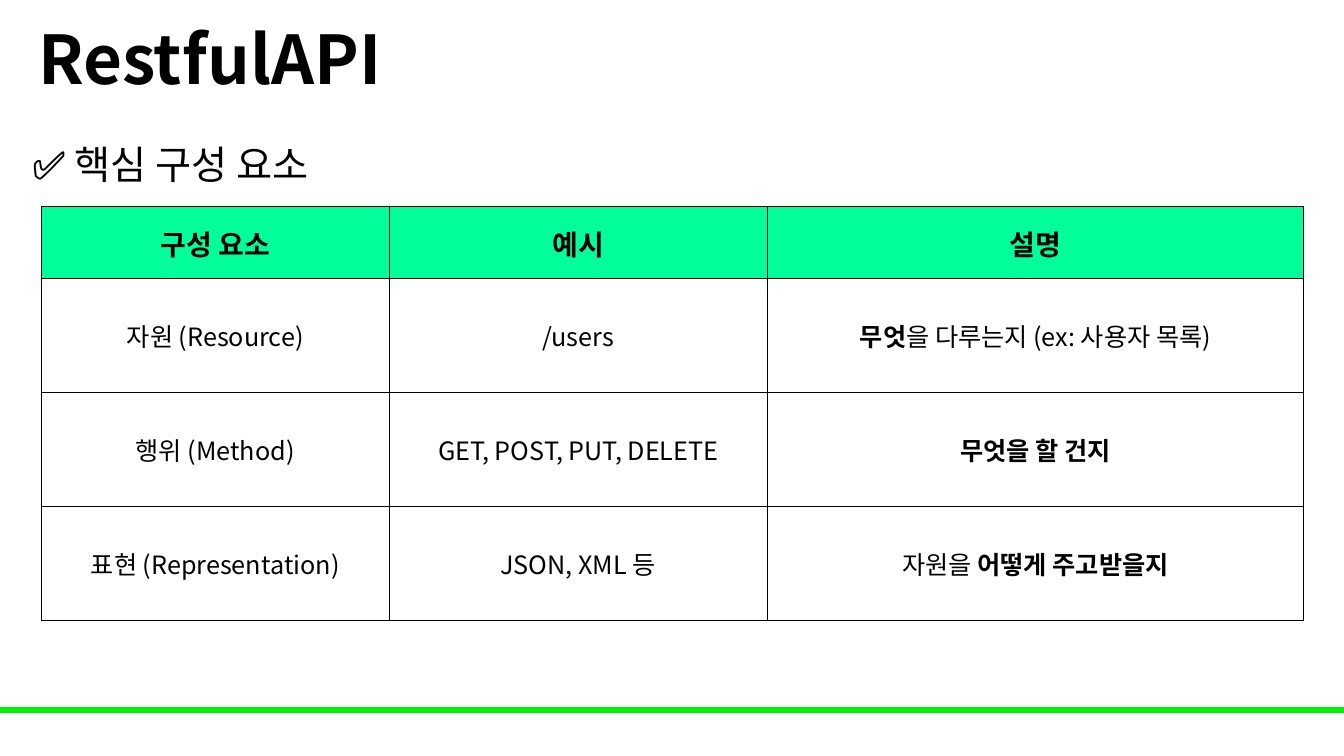
from lxml.etree import SubElement
from pptx import Presentation
from pptx.dml.color import RGBColor
from pptx.enum.shapes import MSO_SHAPE
from pptx.enum.text import MSO_ANCHOR, PP_ALIGN
from pptx.oxml.ns import qn
from pptx.util import Inches, Pt

BLACK = RGBColor(0x00, 0x00, 0x00)
HEADER_GREEN = RGBColor(0x00, 0xFF, 0x99)
BAR_GREEN = RGBColor(0x00, 0xF2, 0x09)
FONT = "Noto Sans CJK KR"

COLUMN_WIDTHS = [3.45, 3.75, 5.32]
ROW_HEIGHTS = [0.71, 1.13, 1.13, 1.13]
COMPONENTS = [
    [[("구성 요소", True)], [("예시", True)], [("설명", True)]],
    [[("자원 (Resource)", False)], [("/users", False)],
     [("무엇", True), ("을 다루는지 (ex: 사용자 목록)", False)]],
    [[("행위 (Method)", False)], [("GET, POST, PUT, DELETE", False)],
     [("무엇을 할 건지", True)]],
    [[("표현 (Representation)", False)], [("JSON, XML 등", False)],
     [("자원을 ", False), ("어떻게 주고받을지", True)]],
]


def style_run(run, size, bold):
    run.font.size = Pt(size)
    run.font.bold = bold
    run.font.color.rgb = BLACK
    run.font.name = FONT
    SubElement(run.font._element, qn("a:ea"), typeface=FONT)


def add_heading(slide, left, top, width, height, wording, size, bold, spacing, anchor):
    frame = slide.shapes.add_textbox(
        Inches(left), Inches(top), Inches(width), Inches(height)).text_frame
    frame.word_wrap = True
    frame.vertical_anchor = anchor
    frame.text = wording
    heading = frame.paragraphs[0]
    heading.line_spacing = spacing
    style_run(heading.runs[0], size, bold)


def add_borders(cell):
    properties = cell._tc.get_or_add_tcPr()
    for side in ("lnL", "lnR", "lnT", "lnB"):
        border = SubElement(properties, qn(f"a:{side}"), w=str(Pt(0.5)))
        color = SubElement(border, qn("a:solidFill"))
        SubElement(color, qn("a:srgbClr"), val=str(BLACK))


def fill_cell(cell, pieces, is_header):
    cell.margin_left = cell.margin_right = cell.margin_top = Inches(0.01)
    cell.margin_bottom = 0
    cell.vertical_anchor = MSO_ANCHOR.MIDDLE
    add_borders(cell)
    if is_header:
        cell.fill.solid()
        cell.fill.fore_color.rgb = HEADER_GREEN
    else:
        cell.fill.background()
    sentence = cell.text_frame.paragraphs[0]
    sentence.alignment = PP_ALIGN.CENTER
    for wording, bold in pieces:
        run = sentence.add_run()
        run.text = wording
        style_run(run, 20 if is_header else 18, bold)


def add_component_table(slide, left, top):
    table = slide.shapes.add_table(
        len(ROW_HEIGHTS), len(COLUMN_WIDTHS), Inches(left), Inches(top),
        Inches(sum(COLUMN_WIDTHS)), Inches(sum(ROW_HEIGHTS))).table
    table.horz_banding = False
    for column, width in zip(table.columns, COLUMN_WIDTHS):
        column.width = Inches(width)
    for index, (row, height) in enumerate(zip(table.rows, ROW_HEIGHTS)):
        row.height = Inches(height)
        for cell, pieces in zip(row.cells, COMPONENTS[index]):
            fill_cell(cell, pieces, index == 0)


def add_footer_bar(slide, left, top, width, height):
    bar = slide.shapes.add_shape(
        MSO_SHAPE.RECTANGLE, Inches(left), Inches(top), Inches(width), Inches(height))
    bar.shadow.inherit = False
    bar.fill.solid()
    bar.fill.fore_color.rgb = BAR_GREEN
    bar.line.color.rgb = BAR_GREEN
    bar.line.width = Pt(1)


def main():
    deck = Presentation()
    deck.slide_width = Inches(13.33)
    deck.slide_height = Inches(7.5)
    slide = deck.slides.add_slide(deck.slide_layouts[6])
    add_footer_bar(slide, 0, 7.02, 13.33, 0.05)
    add_heading(slide, 0.28, 0, 11.5, 1.25, "RestfulAPI", 48, True, 0.9, MSO_ANCHOR.MIDDLE)
    add_component_table(slide, 0.41, 2.05)
    add_heading(slide, 0.22, 1.25, 8.11, 0.8, "✅ 핵심 구성 요소", 28, False, 1.2, MSO_ANCHOR.TOP)
    deck.save("out.pptx")


if __name__ == "__main__":
    main()
